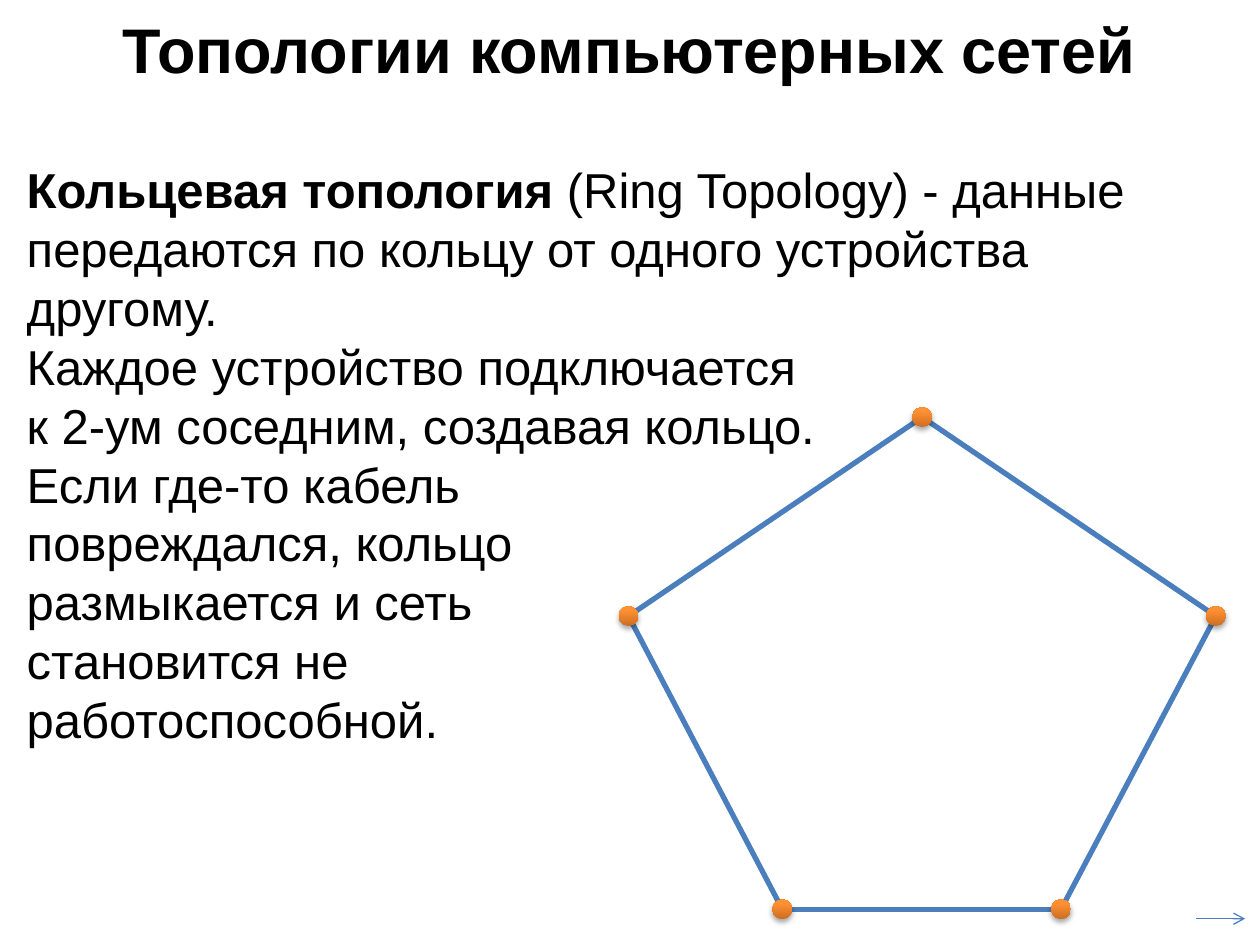
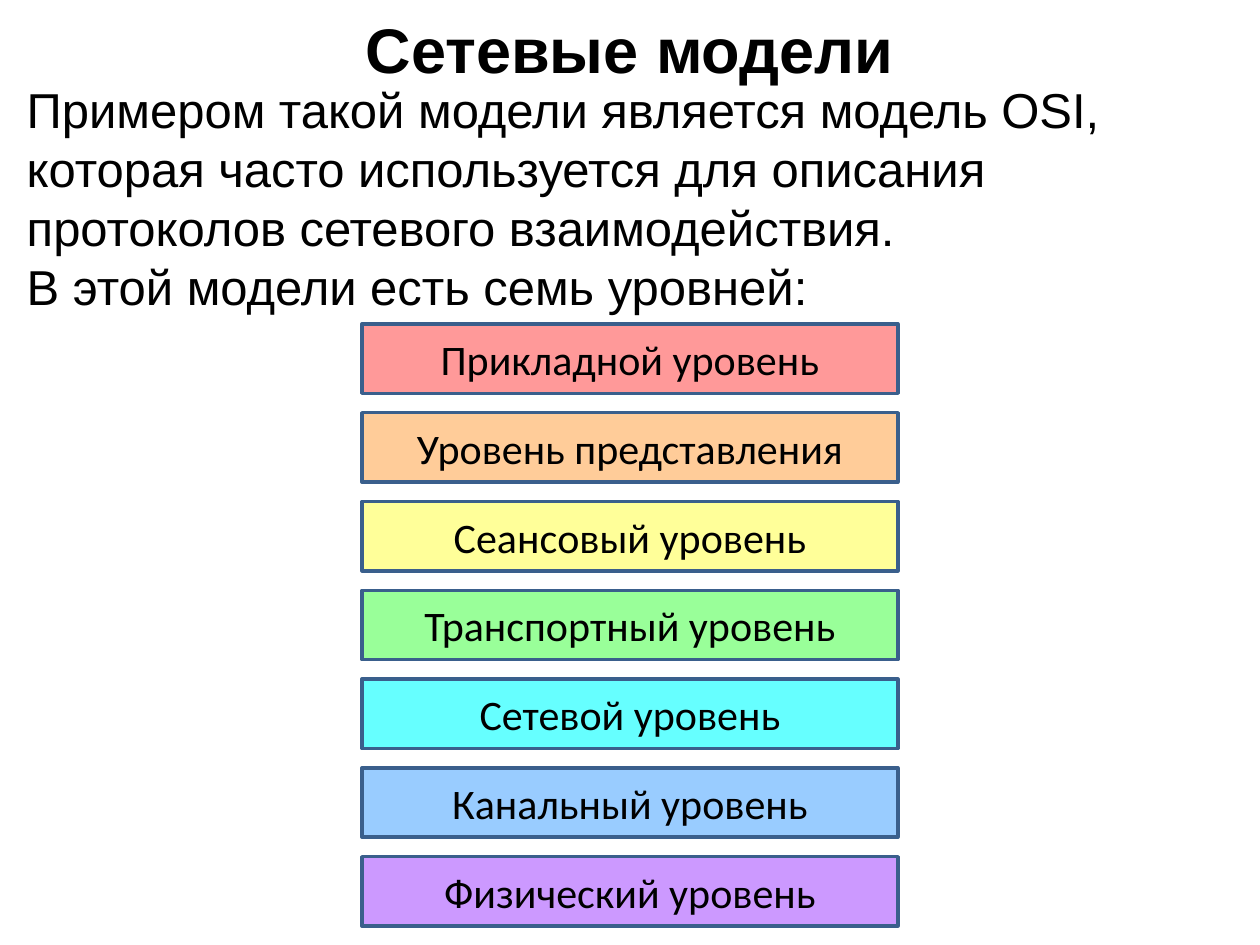
"""Build two slides about ring topology and the OSI network model."""
from itertools import pairwise

from lxml import etree
from pptx import Presentation
from pptx.dml.color import RGBColor
from pptx.enum import shapes, text
from pptx.oxml import ns
from pptx.util import Cm, Pt

BLACK = RGBColor(0x00, 0x00, 0x00)
CABLE_BLUE = RGBColor(0x4B, 0x7E, 0xBC)
BORDER_BLUE = RGBColor(0x3A, 0x5F, 0x8C)
NODE_DARK = RGBColor(0xCC, 0x6E, 0x20)
NODE_LIGHT = RGBColor(0xFF, 0x90, 0x34)

RING_TITLE = "Топологии компьютерных сетей"
RING_TERM = "Кольцевая топология "
RING_TEXT = [
    RING_TERM + "(Ring Topology) - данные передаются по кольцу от одного устройства другому.",
    "Каждое устройство подключается",
    "к 2-ум соседним, создавая кольцо.",
    "Если где-то кабель",
    "повреждался, кольцо",
    "размыкается и сеть",
    "становится не",
    "работоспособной.",
]
RING_NODES = [(18.59, 8.41), (24.51, 12.42), (21.39, 18.33), (15.77, 18.33), (12.67, 12.42)]
NODE_SIZE = 0.4

MODEL_TITLE = "Сетевые модели"
MODEL_TEXT = [
    "Примером такой модели является модель OSI, которая часто используется для описания "
    "протоколов сетевого взаимодействия.",
    "В этой модели есть семь уровней:",
]
LEVELS = [
    ("Прикладной уровень", RGBColor(0xFF, 0x99, 0x99)),
    ("Уровень представления", RGBColor(0xFF, 0xCC, 0x99)),
    ("Сеансовый уровень", RGBColor(0xFF, 0xFF, 0x99)),
    ("Транспортный уровень", RGBColor(0x99, 0xFF, 0x99)),
    ("Сетевой уровень", RGBColor(0x66, 0xFF, 0xFF)),
    ("Канальный уровень", RGBColor(0x99, 0xCC, 0xFF)),
    ("Физический уровень", RGBColor(0xCC, 0x99, 0xFF)),
]
LEVEL_LEFT, LEVEL_TOP, LEVEL_STEP = 7.3, 6.53, 1.79
LEVEL_WIDTH, LEVEL_HEIGHT = 10.8, 1.4
TEXT_LEFT, TEXT_WIDTH = 0.29, 24.8


def style(span, size, font="Arial", bold=False):
    span.font.size, span.font.name, span.font.bold = Pt(size), font, bold
    span.font.color.rgb = BLACK


def add_page(deck, title):
    page = deck.slides.add_slide(deck.slide_layouts[5])
    box = page.shapes.title
    box.left, box.top, box.width, box.height = Cm(TEXT_LEFT), Cm(0), Cm(TEXT_WIDTH), Cm(1.93)
    frame = box.text_frame
    frame.text = title
    frame.auto_size = text.MSO_AUTO_SIZE.NONE
    frame.vertical_anchor = text.MSO_ANCHOR.MIDDLE
    frame.paragraphs[0].alignment = text.PP_ALIGN.CENTER
    style(frame.paragraphs[0].runs[0], 36, bold=True)
    return page


def add_body(page, top, height, lines, term=""):
    box = page.shapes.add_textbox(Cm(TEXT_LEFT), Cm(top), Cm(TEXT_WIDTH), Cm(height))
    frame = box.text_frame
    frame.word_wrap = True
    frame.text = "\n".join(lines)
    if term:
        first = frame.paragraphs[0]
        first.text = term
        first.add_run().text = lines[0].removeprefix(term)
    for para in frame.paragraphs:
        for span in para.runs:
            style(span, 28, bold=span.text == term)


def add_line(parent, start, end, width):
    line = parent.add_connector(shapes.MSO_CONNECTOR.STRAIGHT, *map(Cm, start + end))
    line.line.color.rgb = CABLE_BLUE
    line.line.width = Pt(width)
    properties = line._element.spPr
    etree.SubElement(properties, ns.qn("a:effectLst"))
    return line


def add_node(parent, center):
    left, top = (Cm(value - NODE_SIZE / 2) for value in center)
    node = parent.add_shape(shapes.MSO_SHAPE.OVAL, left, top, Cm(NODE_SIZE), Cm(NODE_SIZE))
    node.line.fill.background()
    node.fill.gradient()
    node.fill.gradient_angle = 90
    for stop, color, position in zip(node.fill.gradient_stops, (NODE_DARK, NODE_LIGHT), (0, 0.8)):
        stop.color.rgb, stop.position = color, position
    node.shadow.inherit = False
    effects = node._element.spPr.find(ns.qn("a:effectLst"))
    shadow = etree.SubElement(effects, ns.qn("a:outerShdw"), blurRad=str(Pt(3.1)),
                              dist=str(Pt(1.8)), dir="5400000", rotWithShape="0")
    shade = etree.SubElement(shadow, ns.qn("a:srgbClr"), val=str(BLACK))
    etree.SubElement(shade, ns.qn("a:alpha"), val="35000")


def add_level(page, index, name, color):
    top = LEVEL_TOP + index * LEVEL_STEP
    box = page.shapes.add_shape(shapes.MSO_SHAPE.RECTANGLE, Cm(LEVEL_LEFT), Cm(top),
                                Cm(LEVEL_WIDTH), Cm(LEVEL_HEIGHT))
    box.shadow.inherit = False
    box.fill.solid()
    box.fill.fore_color.rgb = color
    box.line.color.rgb = BORDER_BLUE
    box.line.width = Pt(2)
    frame = box.text_frame
    frame.text = name
    frame.vertical_anchor = text.MSO_ANCHOR.MIDDLE
    frame.paragraphs[0].alignment = text.PP_ALIGN.CENTER
    style(frame.paragraphs[0].runs[0], 24, "Calibri")


def build_ring(deck):
    page = add_page(deck, RING_TITLE)
    arrow = add_line(page.shapes, (24.1, 18.52), (25.1, 18.52), 0.75)
    etree.SubElement(arrow.line._get_or_add_ln(), ns.qn("a:tailEnd"), type="arrow")
    ring = page.shapes.add_group_shape().shapes
    for start, end in pairwise(RING_NODES + RING_NODES[:1]):
        add_line(ring, start, end, 3)
    for center in RING_NODES:
        add_node(ring, center)
    add_body(page, 3.1, 12.22, RING_TEXT, RING_TERM)


def build_model(deck):
    page = add_page(deck, MODEL_TITLE)
    add_body(page, 1.48, 5.05, MODEL_TEXT)
    for index, (name, color) in enumerate(LEVELS):
        add_level(page, index, name, color)


def main():
    deck = Presentation()
    deck.slide_width, deck.slide_height = Cm(25.4), Cm(19.05)
    build_ring(deck)
    build_model(deck)
    deck.save("out.pptx")


if __name__ == "__main__":
    main()
